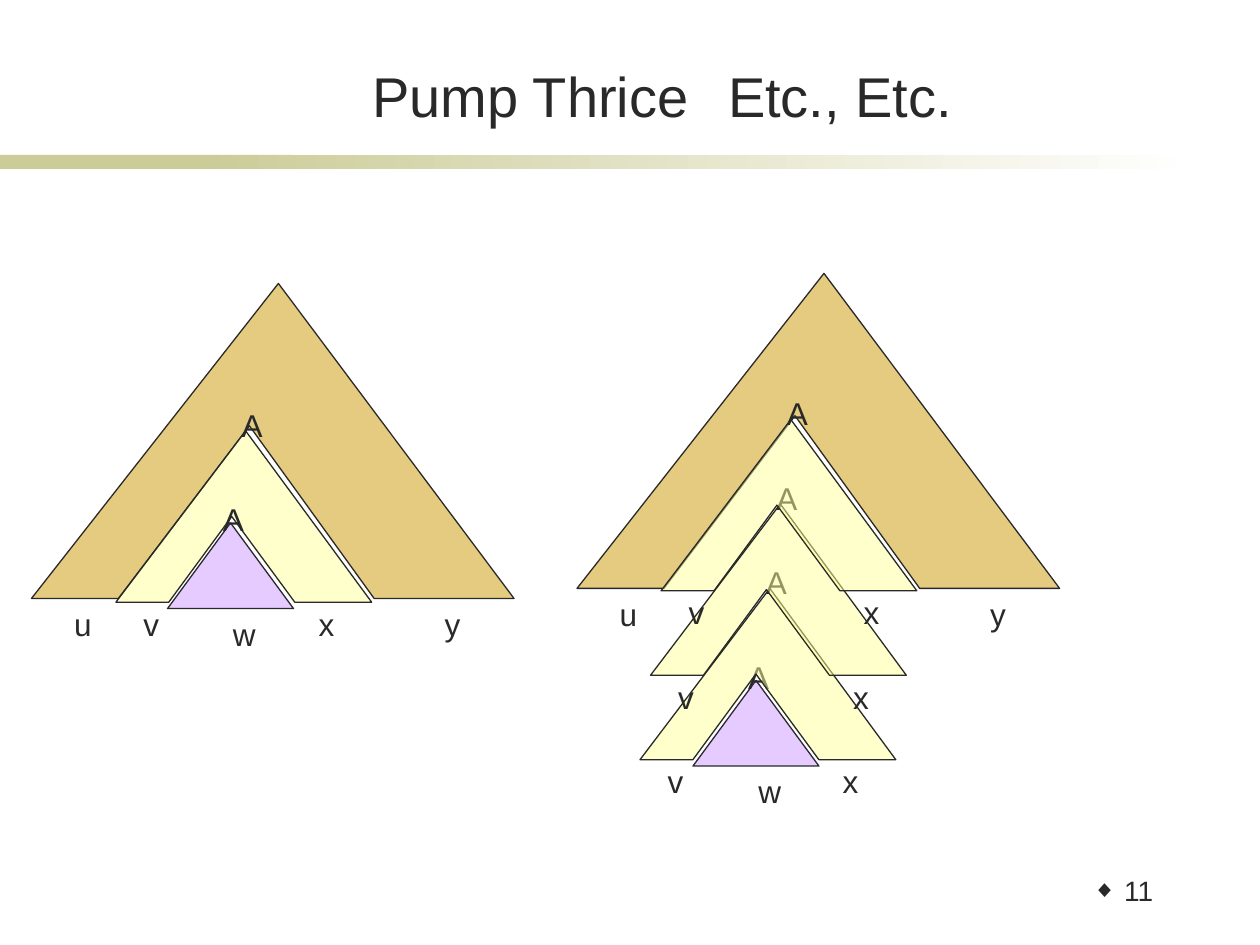
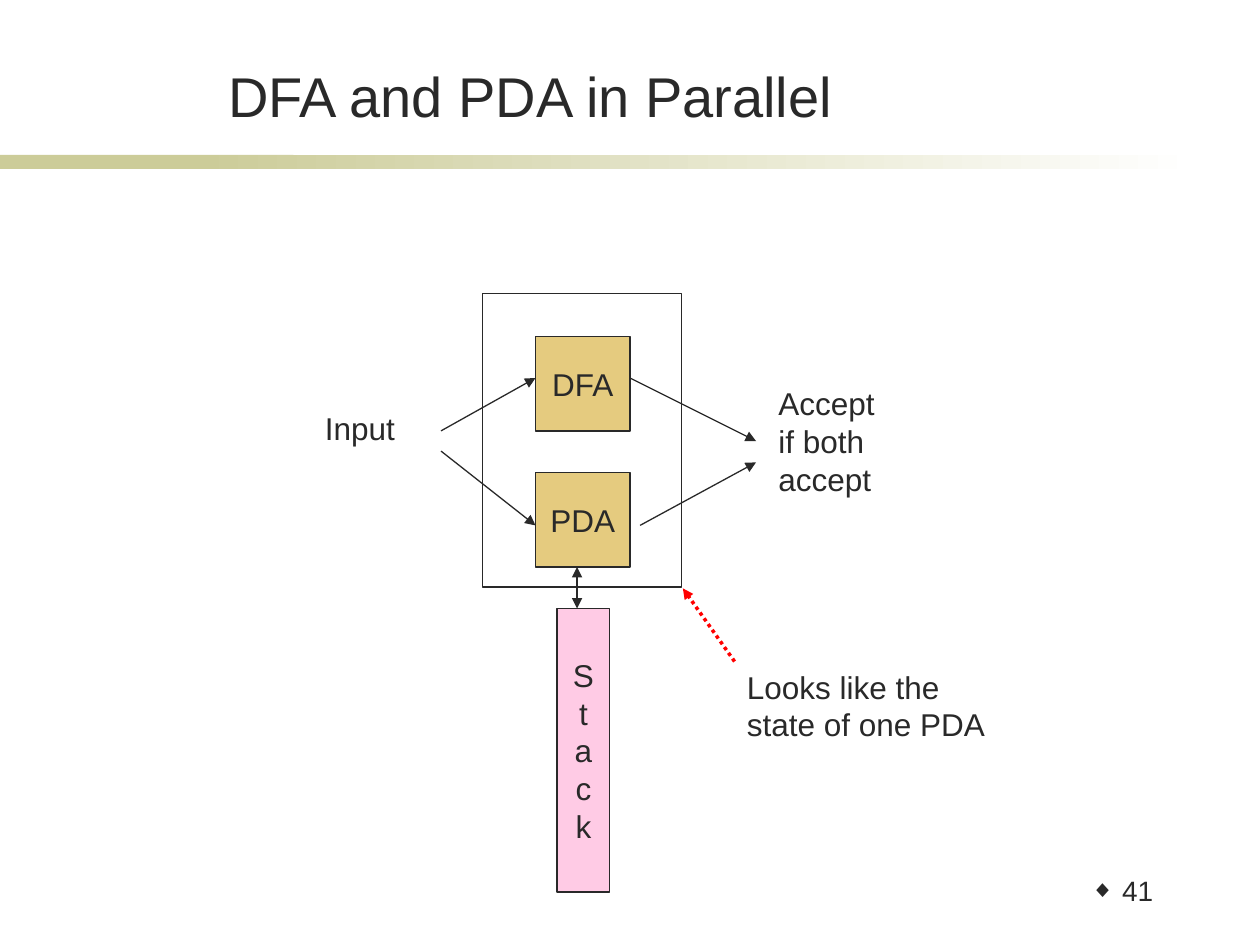
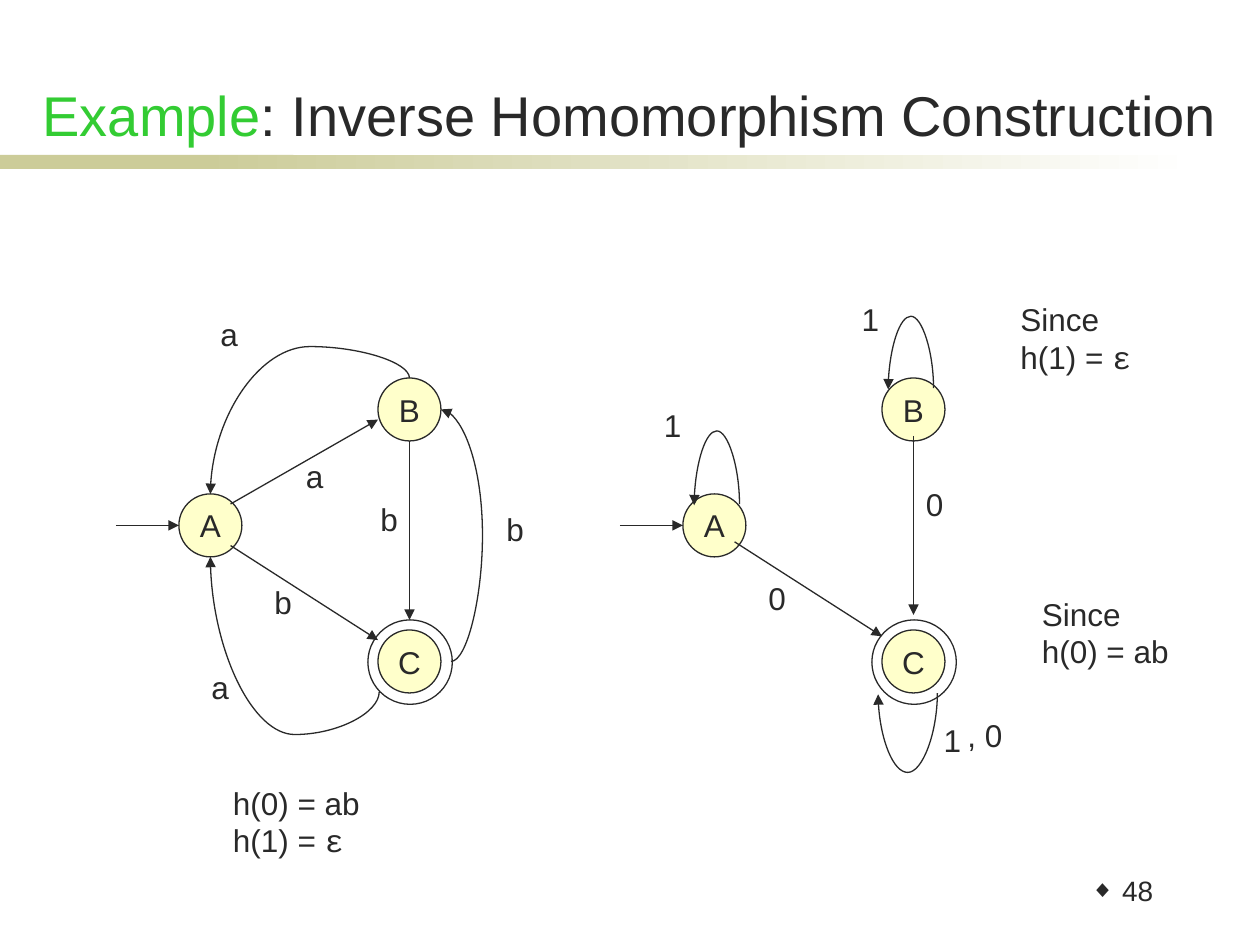
from dataclasses import dataclass
from typing import NamedTuple

from lxml import etree
from pptx import Presentation
from pptx.dml.color import RGBColor
from pptx.enum.dml import MSO_LINE
from pptx.enum.shapes import MSO_CONNECTOR, MSO_SHAPE
from pptx.enum.text import MSO_ANCHOR, MSO_AUTO_SIZE, PP_ALIGN
from pptx.oxml.ns import qn
from pptx.util import Inches, Pt

RECT, OVAL, TRIANGLE = MSO_SHAPE.RECTANGLE, MSO_SHAPE.OVAL, MSO_SHAPE.ISOSCELES_TRIANGLE
STRAIGHT, CURVE = MSO_CONNECTOR.STRAIGHT, MSO_CONNECTOR.CURVE
LEFT, CENTER, RIGHT = PP_ALIGN.LEFT, PP_ALIGN.CENTER, PP_ALIGN.RIGHT
TOP, MIDDLE, BOTTOM = MSO_ANCHOR.TOP, MSO_ANCHOR.MIDDLE, MSO_ANCHOR.BOTTOM
FIXED, GROW = MSO_AUTO_SIZE.NONE, MSO_AUTO_SIZE.SHAPE_TO_FIT_TEXT
DOTTED = MSO_LINE.ROUND_DOT
TITLE_ONLY = 5


@dataclass(frozen=True)
class Theme:
    ink: str = "292929"
    white: str = "FFFFFF"
    band: str = "CCCC99"
    gold: str = "CC9900"
    yellow: str = "FFFF99"
    violet: str = "CC99FF"
    pink: str = "FF99CC"
    red: str = "FF0000"
    green: str = "33CC33"
    font: str = "Arial"
    greek_font: str = "Courier New"
    title: int = 32
    body: int = 18
    number: int = 16
    bullet_percent: int = 85
    line: float = 0.75


T = Theme()


class Span(NamedTuple):
    text: str
    color: str = T.ink
    font: str = T.font


class Point(NamedTuple):
    x: float
    y: float


class Box(NamedTuple):
    x: float
    y: float
    w: float
    h: float


class Label(NamedTuple):
    x: float
    y: float
    lines: tuple
    w: float = 0.4


class Arrow(NamedTuple):
    start: Point
    end: Point
    color: str = T.ink
    width: float = T.line
    dash: object = None


class Arc(NamedTuple):
    """A curved arrow that swings out to a level, in x if sideways and otherwise in y."""
    start: Point
    end: Point
    level: float
    sideways: bool = False


class Tree(NamedTuple):
    """A triangle; points outline a notched one, measured from its top left corner."""
    size: Point
    fill: str
    labels: tuple
    points: tuple = ()


WHOLE = Tree(
    Point(3.83, 2.5), T.gold, (Label(0.24, 2.5, ("u",)), Label(3.18, 2.5, ("y",))),
    ((0.69, 2.5), (0, 2.5), (1.96, 0), (3.83, 2.5), (2.72, 2.5), (1.73, 1.13)))
PUMPED = Tree(
    Point(2.03, 1.36), T.yellow,
    (Label(0.9, -0.25, ("A",)), Label(0.12, 1.33, ("v",)), Label(1.51, 1.33, ("x",))),
    ((0.42, 1.36), (0, 1.36), (1.03, 0), (2.03, 1.36), (1.42, 1.36), (0.92, 0.68)))
CORE = Tree(
    Point(1, 0.68), T.violet, (Label(0.34, -0.23, ("A",)), Label(0.42, 0.68, ("w",))))

EPSILON = (Span("h(1) = "), Span("ε", font=T.greek_font))


def rgb(value: str) -> RGBColor:
    return RGBColor.from_string(value)


def assign(target, **values) -> None:
    for name, value in values.items():
        setattr(target, name, value)


def inches(*values: float) -> list:
    return [Inches(v) for v in values]


def write(tf, lines, size: float = T.body, align=LEFT, **frame) -> None:
    """Fill a text frame; a line is a string or a tuple of spans."""
    assign(tf, **frame)
    for i, line in enumerate(lines):
        p = tf.add_paragraph() if i else tf.paragraphs[0]
        p.alignment = align
        for span in (Span(line),) if isinstance(line, str) else line:
            r = p.add_run()
            r.text = span.text
            assign(r.font, name=span.font, size=Pt(size))
            r.font.color.rgb = rgb(span.color)


def paint(sp, fill: str | None = None) -> None:
    """Half-transparent fill (or none) with a thin dark outline."""
    sp.shadow.inherit = False
    if fill:
        sp.fill.solid()
        sp.fill.fore_color.rgb = rgb(fill)
        color = sp._element.spPr.find(".//" + qn("a:srgbClr"))
        etree.SubElement(color, qn("a:alpha"), val="50000")
    else:
        sp.fill.background()
    sp.line.color.rgb = rgb(T.ink)
    sp.line.width = Pt(T.line)


def add_shape(s, kind, box: Box, fill: str | None = None, lines=()) -> None:
    sp = s.shapes.add_shape(kind, *inches(*box))
    paint(sp, fill)
    if lines:
        write(sp.text_frame, lines, align=CENTER, word_wrap=False, vertical_anchor=MIDDLE)


def add_label(s, label: Label, dx: float = 0, dy: float = 0, size: float = T.body) -> None:
    height = 0.1 + 0.4 * len(label.lines)
    tb = s.shapes.add_textbox(*inches(label.x + dx, label.y + dy, label.w, height))
    write(tb.text_frame, label.lines, size,
          word_wrap=False, auto_size=GROW, vertical_anchor=TOP)


def add_tree(s, tree: Tree, x: float, y: float) -> None:
    if tree.points:
        points = [inches(x + px, y + py) for px, py in tree.points]
        builder = s.shapes.build_freeform(*points[0], scale=1.0)
        builder.add_line_segments(points[1:], close=True)
        paint(builder.convert_to_shape(), tree.fill)
    else:
        add_shape(s, TRIANGLE, Box(x, y, *tree.size), tree.fill)
    for label in tree.labels:
        add_label(s, label, x, y)


def finish_arrow(cx, color: str = T.ink, width: float = T.line, dash=None) -> None:
    cx.line.color.rgb = rgb(color)
    assign(cx.line, width=Pt(width), dash_style=dash)
    etree.SubElement(cx.line._get_or_add_ln(), qn("a:tailEnd"), type="triangle")
    etree.SubElement(cx._element.spPr, qn("a:effectLst"))


def add_arrow(s, arrow: Arrow) -> None:
    cx = s.shapes.add_connector(STRAIGHT, *inches(*arrow.start, *arrow.end))
    finish_arrow(cx, arrow.color, arrow.width, arrow.dash)


def add_arc(s, arc: Arc) -> None:
    (x1, y1), (x2, y2) = arc.start, arc.end
    dx, dy = x2 - x1, y2 - y1
    cx = s.shapes.add_connector(CURVE, 0, 0, 0, 0)
    if arc.sideways:
        w, h, turn = abs(dx), abs(dy), 0
        flip_h, flip_v = dx < 0, dy < 0
        bend = (arc.level - x1) / dx
    else:
        w, h, turn = abs(dy), abs(dx), 270
        flip_h, flip_v = dy > 0, dx < 0
        bend = (arc.level - y1) / dy
    assign(cx, left=Inches((x1 + x2 - w) / 2), top=Inches((y1 + y2 - h) / 2),
           width=Inches(w), height=Inches(h))
    xfrm = cx._element.spPr.find(qn("a:xfrm"))
    for name, value in {"rot": turn * 60000, "flipH": int(flip_h), "flipV": int(flip_v)}.items():
        xfrm.set(name, str(value))
    geometry = cx._element.spPr.find(qn("a:prstGeom"))
    guides = geometry.find(qn("a:avLst"))
    if guides is None:
        guides = etree.SubElement(geometry, qn("a:avLst"))
    etree.SubElement(guides, qn("a:gd"), name="adj1", fmla=f"val {round(bend * 100000)}")
    finish_arrow(cx)


def add_bands(s, layout) -> None:
    """Draw the rule below the title and hand it over to the layout."""
    solid = s.shapes.add_shape(RECT, *inches(0, 1.23, 2.33, 0.11))
    solid.fill.solid()
    solid.fill.fore_color.rgb = rgb(T.band)
    fade = s.shapes.add_shape(RECT, *inches(1.58, 1.23, 7.92, 0.11))
    fade.fill.gradient()
    fade.fill.gradient_angle = 0
    for stop, color in zip(fade.fill.gradient_stops, (T.band, T.white)):
        stop.color.rgb = rgb(color)
    for i, sp in enumerate((solid, fade)):
        sp.shadow.inherit = False
        sp.line.fill.background()
        sp._element.nvSpPr.cNvPr.set("id", str(20 + i))
        layout.shapes._spTree.append(sp._element)


def add_number(s, number: int) -> None:
    tb = s.shapes.add_textbox(*inches(8.23, 6.87, 1.02, 0.5))
    write(tb.text_frame, (str(number),), T.number, RIGHT,
          word_wrap=True, margin_top=Inches(0.09))
    p = tb.text_frame.paragraphs[0]
    assign(p, line_spacing=0.9, space_before=Pt(0.2 * T.number))
    pPr = p._p.get_or_add_pPr()
    pPr.set("marL", str(Inches(0.25)))
    pPr.set("indent", str(-Inches(0.25)))
    color = etree.SubElement(pPr, qn("a:buClr"))
    etree.SubElement(color, qn("a:srgbClr"), val=T.ink)
    etree.SubElement(pPr, qn("a:buSzPct"), val=str(T.bullet_percent * 1000))
    etree.SubElement(pPr, qn("a:buFont"), typeface=T.font)
    etree.SubElement(pPr, qn("a:buChar"), char="◆")


def add_slide(prs, number: int, title, box: Box = Box(1.14, 0.44, 6.14, 0.63)):
    s = prs.slides.add_slide(prs.slide_layouts[TITLE_ONLY])
    sp = s.shapes.title
    assign(sp, **dict(zip(("left", "top", "width", "height"), inches(*box))))
    write(sp.text_frame, (title,), T.title, CENTER,
          word_wrap=True, auto_size=FIXED, vertical_anchor=BOTTOM)
    add_number(s, number)
    return s


def build_pumping(prs):
    s = add_slide(prs, 11, "Pump Thrice")
    for tree, x, y in ((WHOLE, 0.25, 2.25), (PUMPED, 0.92, 3.42), (CORE, 1.33, 4.15),
                       (WHOLE, 4.58, 2.17), (CORE, 5.5, 5.4)):
        add_tree(s, tree, x, y)
    for i in range(3):
        add_tree(s, PUMPED, 5.08 + i / 12, 4.67 - i * 0.67)
    add_label(s, Label(5.68, 0.44, ("Etc., Etc.",), 2), size=T.title)
    return s


def build_parallel(prs) -> None:
    s = add_slide(prs, 41, "DFA and PDA in Parallel")
    for y, name in ((2.67, "DFA"), (3.75, "PDA")):
        add_shape(s, RECT, Box(4.25, y, 0.75, 0.75), T.gold, (name,))
    add_shape(s, RECT, Box(4.42, 4.83, 0.42, 2.25), T.pink, tuple("Stack"))
    add_shape(s, RECT, Box(3.83, 2.33, 1.58, 2.33))
    for arrow in (
        Arrow(Point(4.58, 4.67), Point(4.58, 4.5)),
        Arrow(Point(4.58, 4.67), Point(4.58, 4.83)),
        Arrow(Point(3.5, 3.42), Point(4.25, 3)),
        Arrow(Point(3.5, 3.58), Point(4.25, 4.17)),
        Arrow(Point(5, 3), Point(6, 3.5)),
        Arrow(Point(5.08, 4.17), Point(6, 3.67)),
        Arrow(Point(5.83, 5.25), Point(5.42, 4.67), T.red, 2, DOTTED),
    ):
        add_arrow(s, arrow)
    for label in (
        Label(2.48, 3.2, ("Input",), 0.99),
        Label(6.08, 3, ("Accept", "if both", "accept"), 1.18),
        Label(5.83, 5.25, ("Looks like the", "state of one PDA"), 2.67),
    ):
        add_label(s, label)


def add_states(s, dx: float) -> None:
    """Three states, the ring of the accepting one, and the start arrow."""
    for name, x, y in (("A", 1.42, 3.92), ("C", 3, 5), ("B", 3, 3)):
        add_shape(s, OVAL, Box(x + dx, y, 0.5, 0.5), T.yellow, (name,))
    add_shape(s, OVAL, Box(2.92 + dx, 4.92, 0.67, 0.67))
    add_arrow(s, Arrow(Point(0.92 + dx, 4.17), Point(1.42 + dx, 4.17)))


def build_homomorphism(prs) -> None:
    title = (Span("Example", T.green), Span(": Inverse Homomorphism Construction"))
    s = add_slide(prs, 48, title, Box(0, 0.61, 10, 0.61))
    for dx in (0, 4):
        add_states(s, dx)
    for arrow in (
        Arrow(Point(1.83, 4), Point(3, 3.33)),
        Arrow(Point(1.83, 4.33), Point(3, 5.08)),
        Arrow(Point(3.25, 3.5), Point(3.25, 4.92)),
        Arrow(Point(5.83, 4.3), Point(7, 5.05)),
        Arrow(Point(7.25, 3.46), Point(7.25, 4.88)),
    ):
        add_arrow(s, arrow)
    for arc in (
        Arc(Point(3.58, 5.25), Point(3.5, 3.25), 3.83, sideways=True),
        Arc(Point(3.25, 3), Point(1.67, 3.92), 2.75),
        Arc(Point(3.01, 5.49), Point(1.67, 4.42), 5.83),
        Arc(Point(5.87, 4), Point(5.51, 4.01), 3.41),
        Arc(Point(7.41, 3.08), Point(7.05, 3.09), 2.5),
        Arc(Point(7.44, 5.5), Point(6.97, 5.51), 6.14),
    ):
        add_arc(s, arc)
    for x, y, text in (
        (1.65, 2.45, "a"), (2.33, 3.58, "a"), (1.58, 5.25, "a"),
        (2.92, 3.92, "b"), (3.92, 4, "b"), (2.08, 4.58, "b"),
        (5.17, 3.17, "1"), (6.74, 2.33, "1"), (7.39, 5.67, "1"),
        (6, 4.55, "0"), (7.25, 3.8, "0"), (7.58, 5.63, ", 0"),
    ):
        add_label(s, Label(x, y, (text,), 0.2 + 0.2 * len(text)))
    for label in (
        Label(1.75, 6.17, ("h(0) = ab", EPSILON), 1.64),
        Label(8, 2.33, ("Since", EPSILON), 1.45),
        Label(8.17, 4.67, ("Since", "h(0) = ab"), 1.64),
    ):
        add_label(s, label)


def main() -> None:
    prs = Presentation()
    assign(prs, slide_width=Inches(10), slide_height=Inches(7.5))
    first = build_pumping(prs)
    add_bands(first, prs.slide_layouts[TITLE_ONLY])
    build_parallel(prs)
    build_homomorphism(prs)
    prs.save("out.pptx")


if __name__ == "__main__":
    main()
